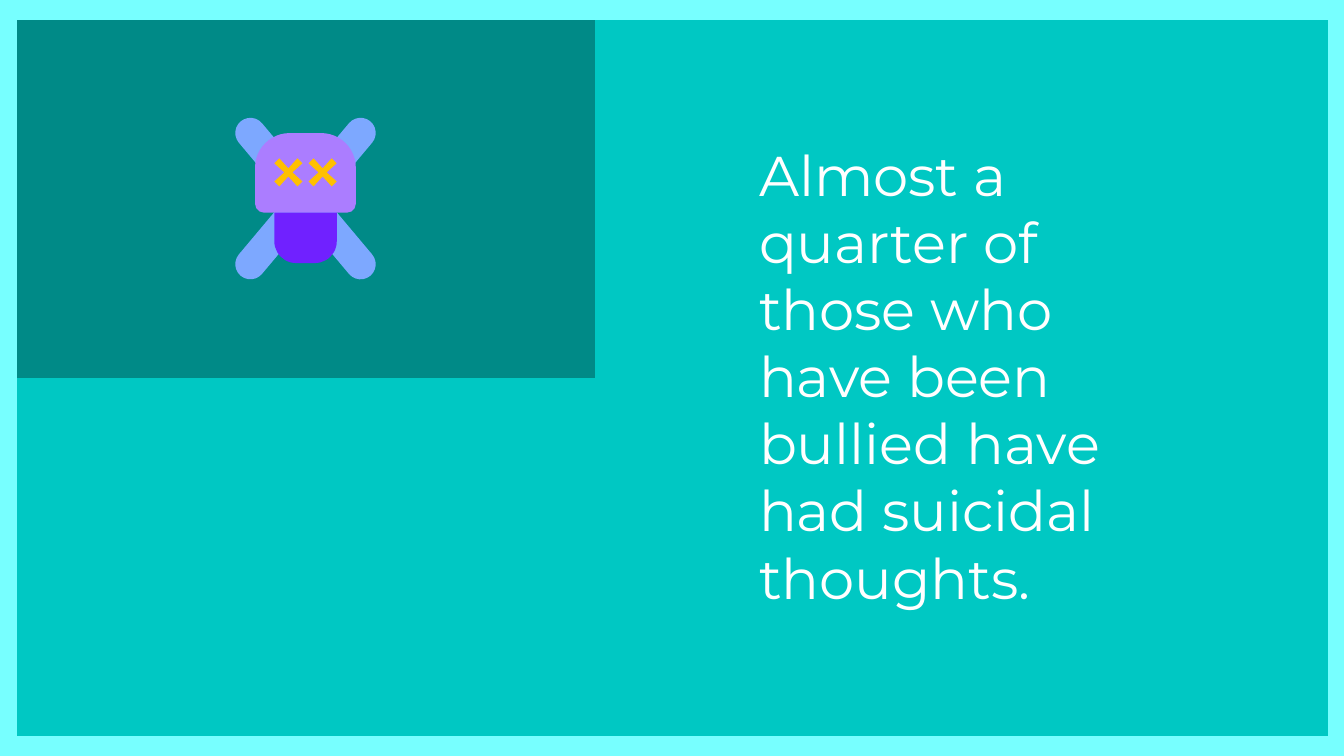
from pptx import Presentation
from pptx.dml.color import RGBColor
from pptx.enum.shapes import MSO_SHAPE as Preset
from pptx.util import Inches, Pt

CYAN, TURQUOISE, TEAL, WHITE = "77FFFF", "00C8C3", "008A87", "FFFFFF"
BONE, HEAD, JAW, EYE = "7DA8FF", "AB7DFF", "7021FF", "FFC000"


def color(value):
    return RGBColor.from_string(value)


def paint(shape, fill):
    shape.shadow.inherit = False
    shape.fill.solid()
    shape.fill.fore_color.rgb = color(fill)
    shape.line.fill.background()


def add_block(shapes, preset, box, fill, rotation=0, corners=()):
    block = shapes.add_shape(preset, *map(Inches, box))
    paint(block, fill)
    block.rotation = rotation
    for index, corner in enumerate(corners):
        block.adjustments[index] = corner


def add_eye(shapes, center_x, center_y):
    """Draw a diagonal cross around its center."""
    tip, edge, notch = 0.14, 0.09, 0.04
    offsets = [(-edge, -tip), (0, -notch), (edge, -tip), (tip, -edge),
               (notch, 0), (tip, edge), (edge, tip), (0, notch),
               (-edge, tip), (-tip, edge), (-notch, 0), (-tip, -edge)]
    points = [(Inches(center_x + x), Inches(center_y + y)) for x, y in offsets]
    builder = shapes.build_freeform(*points[0])
    builder.add_line_segments(points[1:], close=True)
    paint(builder.convert_to_shape(), EYE)


def add_skull(page, left, top, width):
    """Draw the skull and crossbones centered in a box of the given width."""
    shapes = page.shapes.add_group_shape().shapes
    middle = left + width / 2
    # Crossed bones
    for rotation in (320, 40):
        add_block(shapes, Preset.ROUNDED_RECTANGLE, (middle - 0.15, top, 0.3, 2),
                  BONE, rotation, [0.5])
    # Head and jaw
    add_block(shapes, Preset.ROUND_2_SAME_RECTANGLE,
              (middle - 0.5, top + 0.35, 1, 0.79), HEAD, 0, [0.434, 0.114])
    add_block(shapes, Preset.ROUND_2_SAME_RECTANGLE,
              (middle - 0.31, top + 1.14, 0.62, 0.5), JAW, 180, [0.434, 0])
    # Eyes
    for side in (-1, 1):
        add_eye(shapes, middle + side * 0.17, top + 0.74)


def add_statement(page, left, top, width, height):
    box = page.shapes.add_textbox(*map(Inches, (left, top, width, height)))
    frame = box.text_frame
    frame.word_wrap = True
    frame.text = ("Almost a quarter of those who have been bullied "
                  "have had suicidal thoughts.")
    font = frame.paragraphs[0].runs[0].font
    font.name = "Montserrat"
    font.size = Pt(40)
    font.color.rgb = color(WHITE)


def main():
    deck = Presentation()
    deck.slide_width, deck.slide_height = Inches(13.33), Inches(7.5)
    page = deck.slides.add_slide(deck.slide_layouts[6])
    page.background.fill.solid()
    page.background.fill.fore_color.rgb = color(CYAN)

    # Panels
    add_block(page.shapes, Preset.RECTANGLE, (0.17, 0.2, 13, 7.1), TURQUOISE)
    add_block(page.shapes, Preset.RECTANGLE, (0.17, 0.2, 5.73, 3.55), TEAL)

    # Content
    add_statement(page, 7.43, 1.34, 4.24, 4.81)
    add_skull(page, 2.33, 0.97, 1.4)
    deck.save("out.pptx")


if __name__ == "__main__":
    main()
